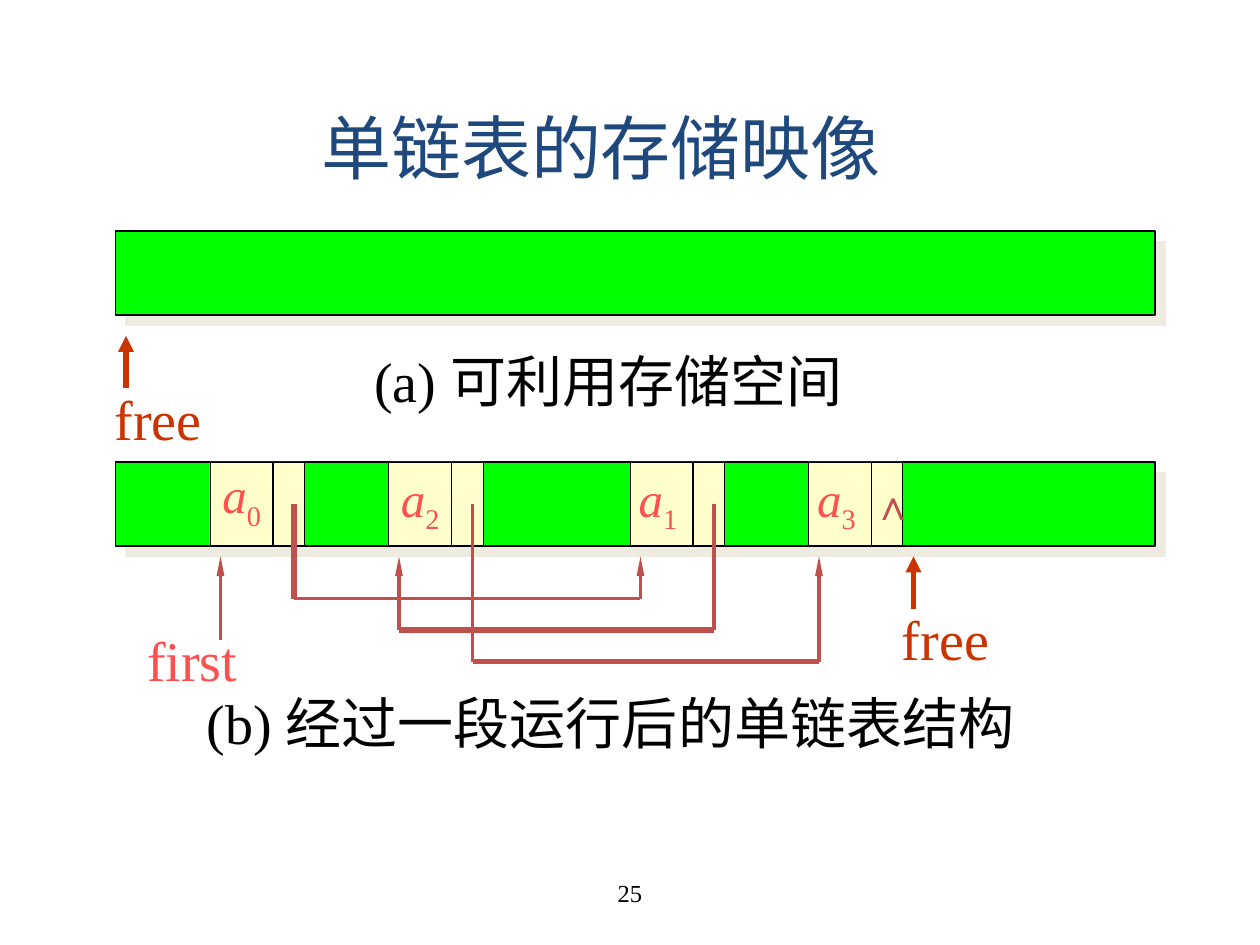
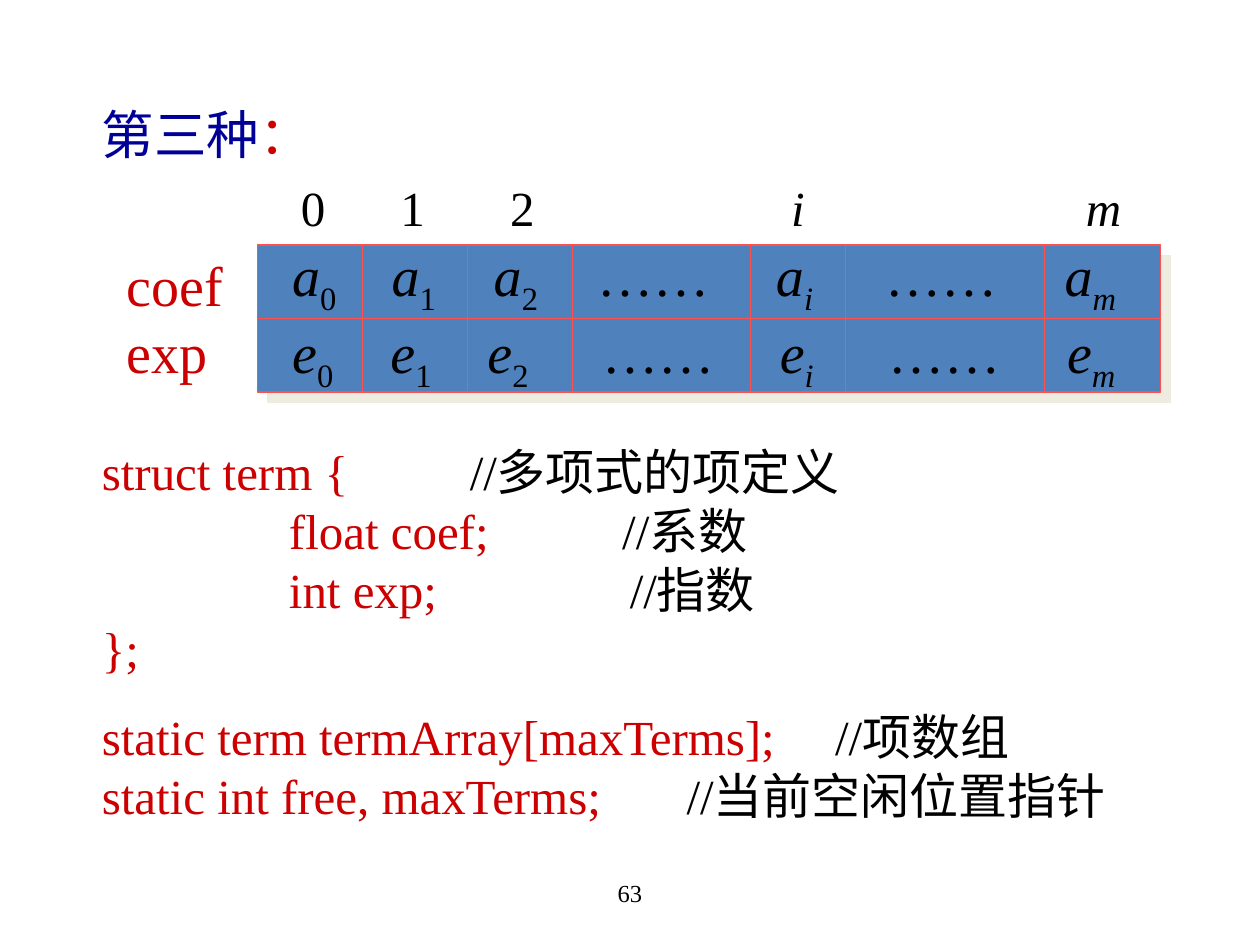
from pptx import Presentation
from pptx import util as u
from pptx.dml.color import RGBColor
from pptx.enum import shapes, text
from pptx.oxml import parse_xml
from pptx.oxml.ns import nsdecls, qn

deck = Presentation()
deck.slide_width, deck.slide_height = u.Inches(10), u.Inches(7.5)

# Grid of 120 columns by 90 rows
COL = deck.slide_width / 120
ROW = deck.slide_height / 90
FONT, CJK = "Times New Roman", "Noto Sans CJK SC"
BLACK, NAVY, BLUE = "000000", "1F497D", "000099"
RED, RUST, PINK, BRICK = "CC0000", "CC3300", "FF5050", "C0504D"
GREEN, CREAM, STEEL = "00FF00", "FFFFCC", "4F81BD"
SUB = {"base": -25000}
ITAL = {"italic": True}


def paint(fmt, hue):
    """Give a fill or a font colour its hue."""
    if hasattr(fmt, "solid"):
        fmt.solid()
        fmt = fmt.fore_color
    fmt.rgb = RGBColor.from_string(hue)


def write(page, box, lines, size=32, hue=BLACK, wrap=False, pad=None,
          mid=False, tabs=(), gaps=()):
    """Lines hold runs; a run is a string or a (string, format) pair."""
    x, y, w, h = box
    shape = page.shapes.add_textbox(*map(round, (x * COL, y * ROW, w * COL, h * ROW)))
    frame = shape.text_frame
    frame.word_wrap = wrap
    if pad:
        frame.margin_left = frame.margin_right = u.Inches(pad)
        frame.margin_top = frame.margin_bottom = u.Inches(pad / 2)
    if mid:
        frame.vertical_anchor = text.MSO_ANCHOR.MIDDLE
    for n, line in enumerate(lines):
        para = frame.paragraphs[0] if n == 0 else frame.add_paragraph()
        if n < len(tabs):
            stops = "".join(f'<a:tab pos="{u.Inches(t)}" algn="l"/>' for t in tabs[n])
            para._p.get_or_add_pPr().append(
                parse_xml(f'<a:tabLst {nsdecls("a")}>{stops}</a:tabLst>'))
        if mid:
            para.alignment = text.PP_ALIGN.CENTER
        if n in gaps:
            para.space_before = u.Pt(gaps[n])
        for part in [line] if isinstance(line, str) else line:
            words, form = (part, {}) if isinstance(part, str) else part
            run = para.add_run()
            run.text = words
            run.font.size = u.Pt(size)
            run.font.name = form.get("font", FONT)
            run.font.italic = form.get("italic", False)
            paint(run.font.color, form.get("hue", hue))
            if "base" in form:
                run._r.get_or_add_rPr().set("baseline", str(form["base"]))


pages = []
for num in ("25", "63"):
    page = deck.slides.add_slide(deck.slide_layouts[6])
    write(page, (41, 82, 38, 6), [num], size=14, wrap=True, mid=True)
    pages.append(page)
chain, terms = pages

# Boxes: page, place, fill, edge, edge width, shadow
CELLS = {"0": 20, "2": 37, "1": 60, "3": 77}
TOP, MID, END = 23.33, 30.33, 37.33
LEFT, RIGHT = 24.5, 110.5
boxes = [(chain, (11, y, 99, 8), GREEN, BLACK, 0.75, True) for y in (22, 44)]
boxes += [(chain, (x, 44, 9, 8), CREAM, BLACK, 0.5, False) for x in CELLS.values()]
boxes += [(terms, (LEFT, TOP, RIGHT - LEFT, END - TOP), STEEL, PINK, 0.75, True)]
for page, (x, y, w, h), fill, edge, wide, shade in boxes:
    box = page.shapes.add_shape(shapes.MSO_SHAPE.RECTANGLE, *map(
        round, (x * COL, y * ROW, w * COL, h * ROW)))
    box.shadow.inherit = False
    paint(box.fill, fill)
    paint(box.line.fill, edge)
    box.line.width = u.Pt(wide)
    if shade:
        box._element.spPr.find(qn("a:effectLst")).append(parse_xml(
            f'<a:outerShdw {nsdecls("a")} dist="{u.Pt(8.5)}" dir="2700000" algn="ctr" '
            'rotWithShape="0"><a:srgbClr val="EEECE1"/></a:outerShdw>'))

# Lines: page, start, end, hue, width, arrowhead
THIN, WIDE = ("sm", "lg"), ("med", "med")
lines = [(chain, (x + 6, 44), (x + 6, 52), BLACK, 0.75, None) for x in CELLS.values()]
lines += [
    (chain, (12, 37), (12, 32), RUST, 3, WIDE),
    (chain, (87, 58), (87, 53), RUST, 3, WIDE),
    (chain, (21, 61), (21, 53), BRICK, 2.25, THIN),
]
for src, dst, low, drop, run in (("0", "1", 57, 3, 2.25), ("1", "2", 60, 2.25, 3),
                                 ("2", "3", 63, 2.25, 3)):
    x, to = CELLS[src] + 8, CELLS[dst] + 1
    lines += [
        (chain, (x, 48), (x, low), BRICK, drop, None),
        (chain, (x, low), (to, low), BRICK, run, None),
        (chain, (to, low), (to, 53), BRICK, 2.25, THIN),
    ]
lines += [(terms, (x, TOP), (x, END), PINK, 0.75, None)
          for x in (34.5, 44.5, 54.5, 71.5, 80.5, 99.5)]
lines += [(terms, (LEFT, MID), (RIGHT, MID), PINK, 0.75, None)]
for page, (x, y), (to, low), hue, wide, head in lines:
    link = page.shapes.add_connector(shapes.MSO_CONNECTOR.STRAIGHT, *map(
        round, (x * COL, y * ROW, to * COL, low * ROW)))
    paint(link.line.fill, hue)
    link.line.width = u.Pt(wide)
    link._element.spPr.append(parse_xml(f'<a:effectLst {nsdecls("a")}/>'))
    if head:
        link.line._get_or_add_ln().append(parse_xml(
            f'<a:tailEnd {nsdecls("a")} type="triangle" w="{head[0]}" len="{head[1]}"/>'))

# Linked list in memory: words
write(chain, (29.16, 9.24, 56.28, 9.48), ["单链表的存储映像"], size=40, hue=NAVY, pad=0.12)
for x, y, word, hue in ((9.72, 36, "free", RUST), (84.72, 57, "free", RUST),
                        (12.84, 59, "first", PINK)):
    write(chain, (x, y, 11.28, 7.56), [word], hue=hue)
write(chain, (34.44, 32.4, 51.84, 7.56), ["(a) 可利用存储空间"], wrap=True)
write(chain, (18.48, 65, 85.44, 7.56),
      [["(b) ", ("经过一段运行后的单链表结构", {"font": CJK})]], wrap=True)
for (sub, x), dx, y in zip(CELLS.items(), (0, 0, -0.36, -0.36), (43.68, 44, 44, 44)):
    write(chain, (x + dx, y, 6.36, 6.84), [[("a", ITAL), (sub, SUB)]], size=28, hue=PINK)
write(chain, (81.96, 45, 4.8, 6), ["∧"], size=24, hue=BRICK)

# Term array: heading and table words
write(terms, (8.52, 9.12, 40, 7.2), [[("第三种", {"hue": BLUE}), ("：", {"hue": RED})]],
      size=30, wrap=True)
write(terms, (10.92, 23.28, 11.64, 14), ["coef", "exp"], hue=RED)
write(terms, (27.48, 16.32, 84, 6.84), [["0\t1\t2\t", ("i\tm", ITAL)]], size=28,
      wrap=True, tabs=[(0.79, 1.66, 3.89, 6.23)])
rows = []
for name in "ae":
    row = []
    for sub in ("0", "1", "2", "……", "i", "……", "m"):
        if sub == "……":
            row += [sub, "\t"]
        else:
            row += [(name, ITAL), (sub, {**SUB, "italic": sub.isalpha()}), "\t"]
    rows.append(row[:-1])
write(terms, (26.64, 22.32, 86, 14), rows, wrap=True,
      tabs=[(0.79, 1.6, 2.42, 3.84, 4.71, 6.13), (0.78, 1.55, 2.46, 3.87, 4.73, 6.15)])

# Term array: code, with each comment at its own tab stop
code = (
    ("struct term {", "//多项式的项定义", (2.92,)),
    ("\t     float coef;", "//系数", (1, 4.13)),
    ("\t     int exp;", "//指数", (1, 4.19)),
    ("};", "", ()),
    ("static term termArray[maxTerms];", "//项数组", (5.82,)),
    ("static int free, maxTerms;", "//当前空闲位置指针", (4.64,)),
)
write(terms, (8.52, 41.5, 104.64, 36),
      [[line, ("\t" + note, {"hue": BLACK})] if note else line for line, note, _ in code],
      size=28, hue=RED, wrap=True, tabs=[stops for *_, stops in code], gaps={4: 16.8})

deck.save("out.pptx")
